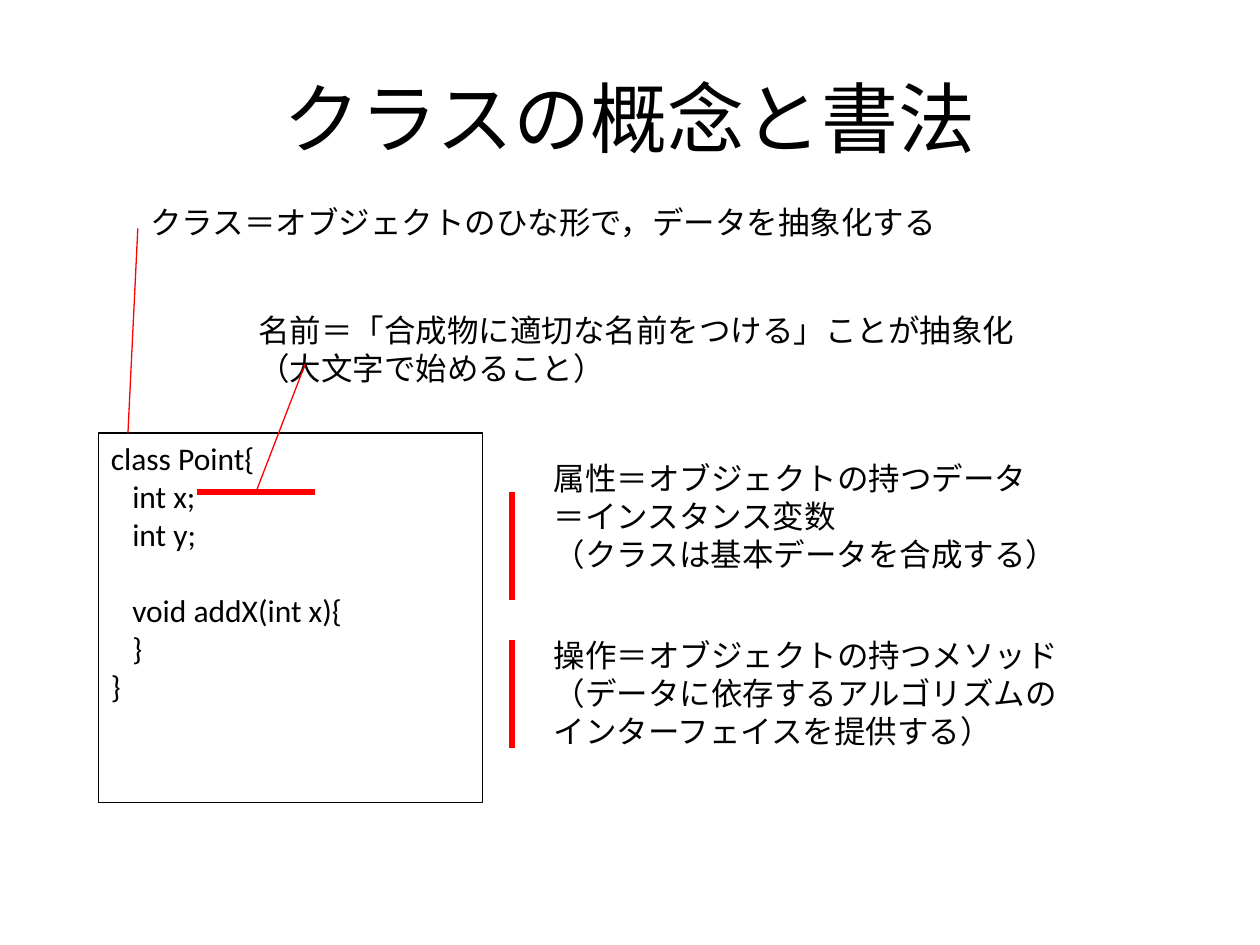
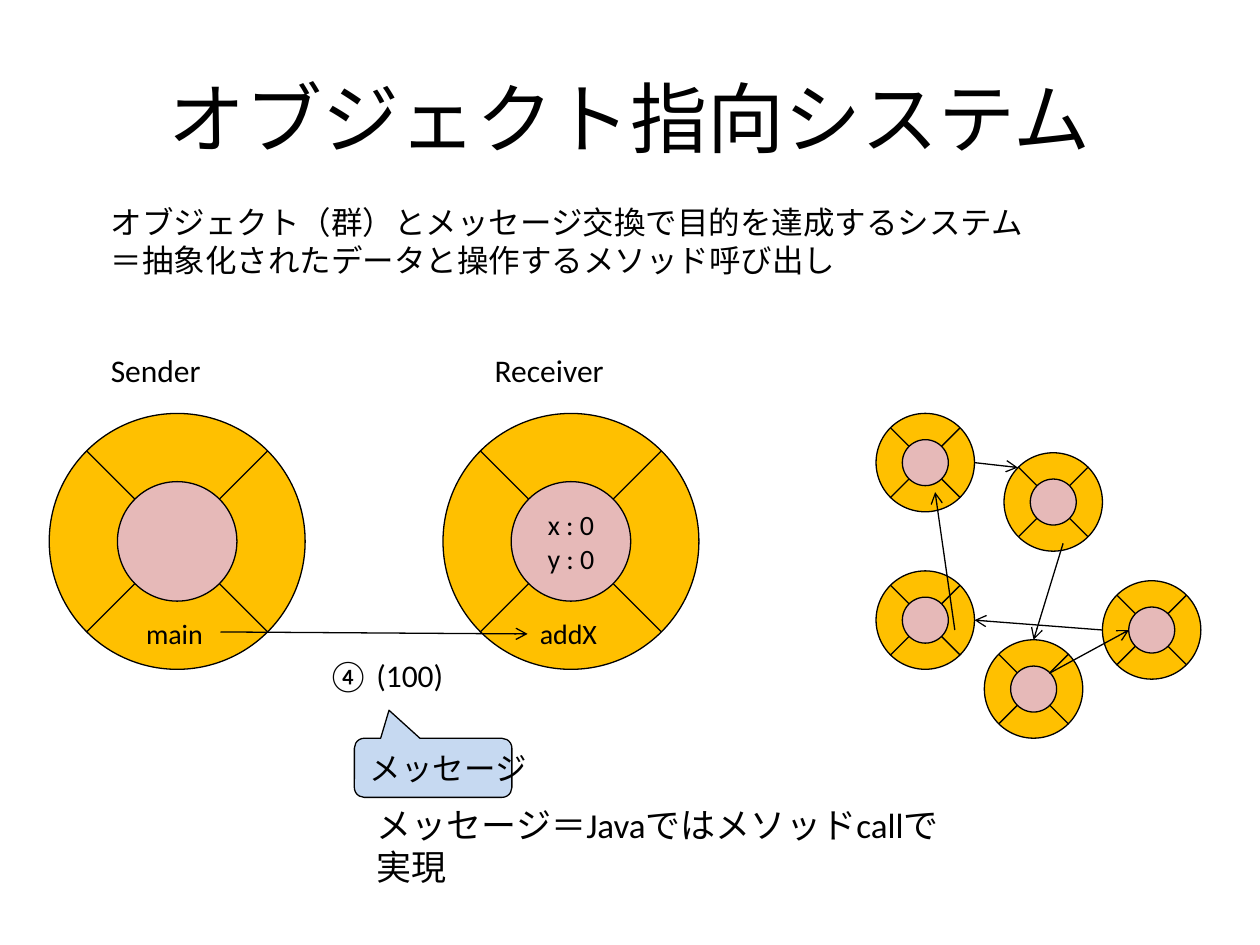
"""Two lesson slides on classes and object-oriented systems."""
import pptx
import pptx.util
import pptx.dml.color
import pptx.enum.shapes
import pptx.enum.text
import pptx.oxml
import pptx.oxml.ns

COLS, ROWS = 128, 96
INK, RED, GOLD, PINK, SKY = "000000", "FF0000", "FFC000", "E6B9B8", "C6D9F1"
FONT = "Calibri"
THIN, THICK = 0.75, 3.5
HUB = 0.467
DIAG = 0.5 ** 0.5
KIND = pptx.enum.shapes.MSO_SHAPE
ALIGN = pptx.enum.text.PP_ALIGN
ANCHOR = pptx.enum.text.MSO_ANCHOR

deck = pptx.Presentation()
deck.slide_width = pptx.util.Inches(10)
deck.slide_height = pptx.util.Inches(7.5)


def grid(*nums):
    """Turn alternating column and row counts into slide lengths."""
    units = (deck.slide_width / COLS, deck.slide_height / ROWS)
    return [round(num * units[i % 2]) for i, num in enumerate(nums)]


def tint(code):
    """Give the colour of a hex string."""
    return pptx.dml.color.RGBColor.from_string(code)


def write(shape, lines, size=18, align=ALIGN.LEFT, anchor=ANCHOR.TOP, wrap=True):
    """Fill a shape with one paragraph per line."""
    frame = shape.text_frame
    frame.word_wrap = wrap
    frame.vertical_anchor = anchor
    frame.text = "\n".join(lines)
    for para in frame.paragraphs:
        para.alignment = align
        para.font.size = pptx.util.Pt(size)
        para.font.name = FONT
        para.font.color.rgb = tint(INK)
    return frame


def note(shapes, box, *lines, **style):
    """Place a text box on the grid."""
    return write(shapes.add_textbox(*grid(*box)), lines, **style)


def form(shapes, kind, box, fill=None):
    """Place an outlined preset shape."""
    shape = shapes.add_shape(kind, *grid(*box))
    shape.shadow.inherit = False
    if fill:
        shape.fill.solid()
        shape.fill.fore_color.rgb = tint(fill)
    else:
        shape.fill.background()
    shape.line.color.rgb = tint(INK)
    shape.line.width = pptx.util.Pt(THIN)
    return shape


def rule(shapes, ends, color=INK, width=THIN, arrow=False):
    """Draw a straight line, with an arrowhead on request."""
    line = shapes.add_connector(pptx.enum.shapes.MSO_CONNECTOR.STRAIGHT, *grid(*ends))
    line.line.color.rgb = tint(color)
    line.line.width = pptx.util.Pt(width)
    if arrow:
        tip = pptx.oxml.parse_xml(
            f'<a:tailEnd {pptx.oxml.ns.nsdecls("a")} type="arrow"/>')
        line.line._get_or_add_ln().append(tip)
    props = line._element.spPr
    props.append(pptx.oxml.parse_xml(f'<a:effectLst {pptx.oxml.ns.nsdecls("a")}/>'))


def page(title):
    """Add a blank slide with the shared title."""
    slide = deck.slides.add_slide(deck.slide_layouts[6])
    note(slide.shapes, (6.4, 3.84, 115.2, 16), title, size=44,
         align=ALIGN.CENTER, anchor=ANCHOR.MIDDLE)
    return slide.shapes


def code(shapes, box):
    """Draw the framed class listing and mark its name."""
    x, y, w, h = box
    lines = ("class Point{", "int x;", "int y;", "void addX(int x){", "}", "}")
    frame = write(form(shapes, KIND.RECTANGLE, box), lines)
    for para in frame.paragraphs[1:-1]:
        para._p.get_or_add_pPr().set("marL", str(pptx.util.Inches(0.17)))
    frame.paragraphs[3].space_before = pptx.util.Pt(22)
    rule(shapes, (x + 10, y + 6, x + 22, y + 6), RED, THICK)
    rule(shapes, (x + 16, y + 6, x + 21, y - 7), RED)
    rule(shapes, (x + 3, y, x + 4, y - 20.8), RED)


def part(shapes, box, *lines):
    """Explain one part of the class beside a red bar."""
    x, y, w, h = box
    rule(shapes, (x, y, x, y + 11), RED, THICK)
    note(shapes, (x + 3, y + (h - 11) / 2, w, h), *lines)


def wheel(shapes, box, label=None, state=()):
    """Draw an object as a hub of data inside a ring of methods."""
    x, y, w, h = box
    group = shapes.add_group_shape().shapes
    form(group, KIND.OVAL, box, GOLD)
    edge = (1 - HUB) / 2
    hub = form(group, KIND.OVAL, (x + w * edge, y + h * edge, w * HUB, h * HUB), PINK)
    if state:
        write(hub, state, 16, ALIGN.CENTER, ANCHOR.MIDDLE, False)
    for across, down in ((-1, 1), (1, 1), (1, -1), (-1, -1)):
        dx, dy = across * DIAG * w / 2, down * DIAG * h / 2
        mx, my = x + w / 2, y + h / 2
        rule(group, (mx + dx * HUB, my + dy * HUB, mx + dx, my + dy))
    if label:
        note(group, (x + w * 0.33, y + h * 0.768, w * 0.35, h * 0.18), label, size=16)


def talk(shapes, box):
    """Show a sender passing a message to a receiver."""
    x, y, w, h = box
    far = x + w - h
    wheel(shapes, (far, y, h, h), "addX", ("x : 0", "y : 0"))
    wheel(shapes, (x, y, h, h), "main")
    for left, name in ((x, "Sender"), (far - 1, "Receiver")):
        note(shapes, (left + 5, y - 7, 18.6, 6.5), name)
    note(shapes, (x + 27, y + 24, 14.6, 5.1), "④ (100)")
    rule(shapes, (x + 17.4, y + 22.2, far + 8.6, y + 22.4), arrow=True)
    call = form(shapes, KIND.ROUNDED_RECTANGULAR_CALLOUT, (x + 31, y + 33, 16, 6), SKY)
    for i, value in enumerate((-0.28, -0.975, 0.167)):
        call.adjustments[i] = value
    write(call, ["メッセージ"], anchor=ANCHOR.MIDDLE, wrap=False)
    note(shapes, (x + 32, y + 39, 61.4, 5.6), "メッセージ＝Javaではメソッドcallで実現", size=20)


def web(shapes, box):
    """Show small objects calling one another in a loop."""
    x, y, w, h = box
    size = w * 10 / 33
    for dx, dy in ((0, 0), (13, 4), (0, 16), (11, 23), (23, 17)):
        wheel(shapes, (x + dx, y + dy, size, size))
    calls = ((8, 22, 6, 8), (10, 5, 14.4, 5.5), (19, 13.2, 16, 23),
             (17.6, 26.4, 25.7, 22), (23, 22, 10, 21))
    for ax, ay, bx, by in calls:
        rule(shapes, (x + ax, y + ay, x + bx, y + by), arrow=True)


shapes = page("クラスの概念と書法")
part(shapes, (52, 50, 62.5, 16.8), "属性＝オブジェクトの持つデータ",
     "＝インスタンス変数", "（クラスは基本データを合成する）")
part(shapes, (52, 65, 64.8, 16.8), "操作＝オブジェクトの持つメソッド",
     "（データに依存するアルゴリズムの", "インターフェイスを提供する）")
for frame in shapes:
    if frame.has_text_frame and frame.left == grid(55)[0]:
        frame.top = grid(0, 46 if "属性" in frame.text_frame.text else 64)[1]
note(shapes, (14, 20, 98.4, 6.5), "クラス＝オブジェクトのひな形で，データを抽象化する")
note(shapes, (25, 31, 97.5, 11.6), "名前＝「合成物に適切な名前をつける」ことが抽象化",
     "（大文字で始めること）")
code(shapes, (10, 44, 39, 37.5))

shapes = page("オブジェクト指向システム")
talk(shapes, (5, 42, 66, 26))
web(shapes, (89, 42, 33, 33))
note(shapes, (10, 20, 111, 11.6), "オブジェクト（群）とメッセージ交換で目的を達成するシステム",
     "＝抽象化されたデータと操作するメソッド呼び出し")

deck.save("out.pptx")
